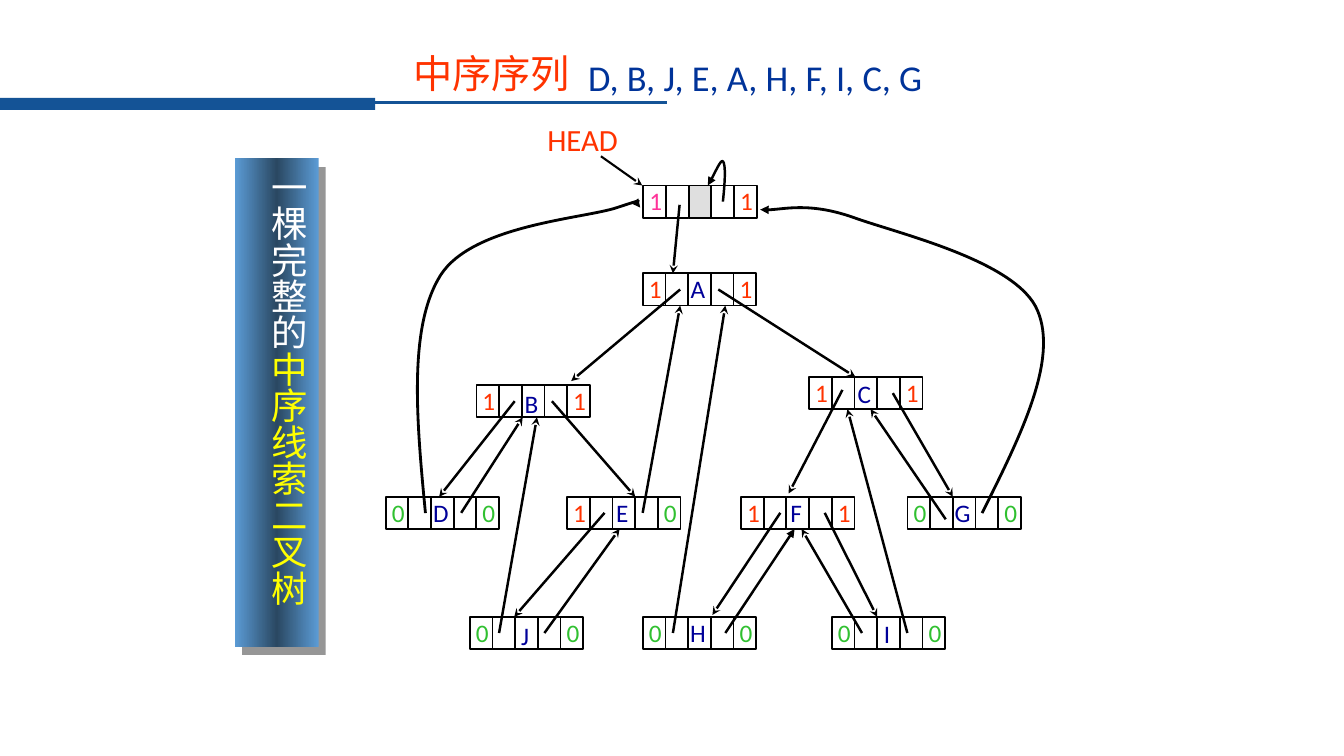
"""Draw an inorder threaded binary tree with its head node and threads."""
from dataclasses import dataclass
from typing import Any

import lxml.etree
import pptx
import pptx.dml.color
import pptx.enum.shapes
import pptx.enum.text
import pptx.oxml.ns
import pptx.util

COLUMN, ROW = 0.075, 0.08
CELL_COLUMNS, CELL_ROWS = 3, 4
COLOURS = {
    "rule": "145396", "panel": "5B9BD5", "panel_dark": "2A4862", "shadow": "969696",
    "white": "FFFFFF", "yellow": "FFFF00", "sequence": "003399", "red": "FF3300",
    "letter": "000099", "green": "30C030", "pink": "FF3399", "grey": "C0C0C0", "black": "000000",
}
TAG_COLOURS = {"0": "green", "1": "red"}
Point = tuple[float, float]


@dataclass(frozen=True)
class Node:
    column: float
    row: float
    label: str
    tags: str
    label_rise: float = 0.6
    left_colour: str = ""


@dataclass(frozen=True)
class Link:
    source: str
    source_cell: float
    target: str
    target_cell: float
    drop: float = 0
    rise: float = 0
    arrow: str = "stealth"


@dataclass(frozen=True)
class Caption:
    box: tuple[float, float, float, float]
    runs: tuple[tuple[str, str], ...]
    size: int
    font: str = "Calibri"
    shadowed: bool = False
    vertical: bool = False


@dataclass(frozen=True)
class Curve:
    points: tuple[Point, ...]
    width: float


NODES = {
    "HEAD": Node(85.07, 23, "", "11", left_colour="pink"),
    "A": Node(85, 33.9, "A", "11"),
    "B": Node(63, 47.75, "B", "11", 0.25),
    "C": Node(107, 46.75, "C", "11", 0.5),
    "D": Node(51, 61.6, "D", "00"),
    "E": Node(75, 61.6, "E", "10", 0.5),
    "F": Node(98, 61.6, "F", "11"),
    "G": Node(120, 61.6, "G", "00"),
    "J": Node(62.13, 76.5, "J", "00", 0.25),
    "H": Node(85, 76.5, "H", "00"),
    "I": Node(110, 76.5, "I", "00", 0.4),
}
LINKS = (
    Link("HEAD", 1.6, "A", 1.33, drop=0.4),
    Link("A", 1.65, "B", 4.18, rise=0.5),
    Link("A", 3.33, "C", 2.04),
    Link("B", 1.69, "D", 2.36),
    Link("B", 3.33, "E", 3),
    Link("C", 1.47, "F", 2.1, drop=-0.4, rise=0.4),
    Link("C", 3.69, "G", 2),
    Link("E", 1.65, "J", 1.96),
    Link("F", 1.73, "H", 3.07, rise=0.25),
    Link("F", 3.69, "I", 2),
    Link("D", 3.33, "B", 2.04),
    Link("J", 1.29, "B", 2.67),
    Link("J", 3.29, "E", 2.31),
    Link("E", 3.33, "A", 1.65),
    Link("H", 1.33, "A", 3.64),
    Link("H", 3.64, "F", 2.36, arrow="triangle"),
    Link("I", 1.33, "F", 2.67),
    Link("I", 3.33, "C", 1.69),
    Link("G", 1.69, "C", 2.71, drop=0.8),
)
CAPTIONS = (
    Caption((32.93, 19.75, 8.13, 58.75), (("一棵完整的", "white"), ("中序线索二叉树", "yellow")),
            26, shadowed=True, vertical=True),
    Caption((76.47, 6.25, 64, 6.63), (("D, B, J, E, A, H, F, I, C, G", "sequence"),), 26),
    Caption((71.07, 14.38, 16.8, 5.88), (("HEAD", "red"),), 22),
    Caption((53.33, 5.5, 28.93, 7.13), (("中序序列", "red"),), 28, "Noto Sans CJK SC", True),
)
CURVES = (
    Curve(((56.27, 63.63), (55.07, 52), (54, 40.5), (58.27, 34.13), (62.53, 27.88), (77.2, 27.13),
           (81.6, 25.75), (86, 24.38), (84.27, 25.75), (84.67, 25.75)), 2),
    Curve(((129.87, 63.63), (134.93, 54.13), (140, 44.63), (137.2, 38.5), (134.53, 32.5),
           (119.47, 29.13), (113.33, 27.13), (107.2, 25), (102.4, 26.25), (100.53, 26)), 2),
    Curve(((95.6, 25), (95.87, 22.63), (96, 20.38), (95.6, 20), (95.33, 19.75), (94, 22.5),
           (93.6, 23)), 1.75),
)


def across(columns: float) -> int:
    return pptx.util.Inches(columns * COLUMN)


def down(rows: float) -> int:
    return pptx.util.Inches(rows * ROW)


def frame_of(column: float, row: float, columns: float, rows: float) -> tuple[int, int, int, int]:
    return across(column), down(row), across(columns), down(rows)


def colour(name: str) -> Any:
    return pptx.dml.color.RGBColor.from_string(COLOURS[name])


def add_xml(parent: Any, tag: str, **attributes: str) -> Any:
    return lxml.etree.SubElement(parent, pptx.oxml.ns.qn(tag), attributes)


def add_shadow(effects: Any, name: str, distance: float, angle: int) -> None:
    shadow = add_xml(effects, "a:outerShdw", blurRad="0", dist=str(pptx.util.Pt(distance)),
                     dir=str(angle * 60000), algn="tl", rotWithShape="0")
    add_xml(shadow, "a:srgbClr", val=COLOURS[name])


def apply(target: Any, values: dict[str, Any]) -> None:
    for name, value in values.items():
        setattr(target, name, value)


def style_line(shape: Any, name: str, width: float, arrow: str = "") -> None:
    shape.line.color.rgb = colour(name)
    shape.line.width = pptx.util.Pt(width)
    if arrow:
        add_xml(shape.line._get_or_add_ln(), "a:tailEnd", type=arrow)


def add_rectangle(slide: Any, box: tuple[float, float, float, float], fill: str = "") -> Any:
    shape = slide.shapes.add_shape(pptx.enum.shapes.MSO_SHAPE.RECTANGLE, *frame_of(*box))
    shape.shadow.inherit = False
    shape.line.fill.background()
    if fill:
        shape.fill.solid()
        shape.fill.fore_color.rgb = colour(fill)
    else:
        shape.fill.background()
    return shape


def add_line(slide: Any, start: Point, end: Point, name: str, width: float, arrow: str = "") -> None:
    line = slide.shapes.add_connector(pptx.enum.shapes.MSO_CONNECTOR.STRAIGHT, across(start[0]),
                                      down(start[1]), across(end[0]), down(end[1]))
    style_line(line, name, width, arrow)
    add_xml(line.element.spPr, "a:effectLst")


def add_curve(slide: Any, curve: Curve) -> None:
    points = [(across(x), down(y)) for x, y in curve.points]
    builder = slide.shapes.build_freeform(*points[0])
    builder.add_line_segments(points[1:], close=False)
    shape = builder.convert_to_shape()
    shape.shadow.inherit = False
    shape.fill.background()
    style_line(shape, "black", curve.width, "triangle")
    outline = next(shape.element.iter(pptx.oxml.ns.qn("a:path")))
    segments = list(outline)[1:]
    for first in range(0, len(segments), 3):
        bezier = add_xml(outline, "a:cubicBezTo")
        for segment in segments[first:first + 3]:
            bezier.append(segment[0])
            outline.remove(segment)


def add_caption(slide: Any, caption: Caption, centred: bool = False) -> None:
    shape = slide.shapes.add_textbox(*frame_of(*caption.box))
    frame = shape.text_frame
    frame.word_wrap = not centred
    paragraph = frame.paragraphs[0]
    if centred:
        apply(frame, {"margin_left": 0, "margin_right": 0})
        paragraph.alignment = pptx.enum.text.PP_ALIGN.CENTER
    if caption.vertical:
        next(shape.element.iter(pptx.oxml.ns.qn("a:bodyPr"))).set("vert", "eaVert")
        paragraph.line_spacing = 0.9
    for text, name in caption.runs:
        run = paragraph.add_run()
        run.text = text
        apply(run.font, {"size": pptx.util.Pt(caption.size), "name": caption.font})
        run.font.color.rgb = colour(name)
        properties = run._r.get_or_add_rPr()
        add_xml(properties, "a:ea", typeface="Noto Sans CJK SC")
        if caption.shadowed:
            effects = add_xml(properties, "a:effectLst")
            add_shadow(effects, "black", 2, 45)
            properties.find(pptx.oxml.ns.qn("a:solidFill")).addnext(effects)


def add_node(slide: Any, node: Node) -> None:
    left_tag, right_tag = node.tags
    texts = {
        0: (left_tag, node.left_colour or TAG_COLOURS[left_tag], 0.15, 0.6),
        2: (node.label, "letter", -0.2, node.label_rise),
        4: (right_tag, TAG_COLOURS[right_tag], 0.15, 0.6),
    }
    for cell in range(5):
        column = node.column + cell * CELL_COLUMNS
        grey = cell == 2 and not node.label
        shape = add_rectangle(slide, (column, node.row, CELL_COLUMNS, CELL_ROWS), "grey" if grey else "")
        style_line(shape, "black", 1.25)
        if grey:
            add_xml(next(shape.element.iter(pptx.oxml.ns.qn("a:srgbClr"))), "a:alpha", val="50000")
        text, name, shift, rise = texts.get(cell, ("", "", 0, 0))
        if text:
            box = (column + shift, node.row - rise, CELL_COLUMNS, 5)
            add_caption(slide, Caption(box, ((text, name),), 18), centred=True)


def add_link(slide: Any, link: Link) -> None:
    source, target = NODES[link.source], NODES[link.target]
    side = CELL_ROWS if target.row < source.row else 0
    start = (source.column + link.source_cell * CELL_COLUMNS, source.row + CELL_ROWS / 2 + link.drop)
    end = (target.column + link.target_cell * CELL_COLUMNS, target.row + side - link.rise)
    add_line(slide, start, end, "black", 1.75, link.arrow)


def add_panel(slide: Any) -> None:
    panel = add_rectangle(slide, (31.07, 19.63, 11.07, 60.63), "panel")
    properties = panel.element.spPr
    gradient = add_xml(properties, "a:gradFill", rotWithShape="1")
    stops = add_xml(gradient, "a:gsLst")
    for position, name in ((0, "panel"), (50, "panel_dark"), (100, "panel")):
        add_xml(add_xml(stops, "a:gs", pos=str(position * 1000)), "a:srgbClr", val=COLOURS[name])
    add_xml(gradient, "a:lin", ang="0", scaled="1")
    solid = properties.find(pptx.oxml.ns.qn("a:solidFill"))
    properties.replace(solid, gradient)
    add_shadow(properties.find(pptx.oxml.ns.qn("a:effectLst")), "shadow", 7.8, 50)


def main() -> None:
    presentation = pptx.Presentation()
    apply(presentation, {"slide_width": pptx.util.Inches(13.33), "slide_height": pptx.util.Inches(7.5)})
    slide = presentation.slides.add_slide(presentation.slide_layouts[6])
    add_rectangle(slide, (0, 12.13, 49.6, 1.5), "rule")
    add_line(slide, (49.07, 12.75), (88.27, 12.75), "rule", 2.25)
    add_panel(slide)
    for node in NODES.values():
        add_node(slide, node)
    for link in LINKS:
        add_link(slide, link)
    add_line(slide, (79.47, 19.38), (84.93, 23), "black", 1.5, "stealth")
    for curve in CURVES:
        add_curve(slide, curve)
    for caption in CAPTIONS:
        add_caption(slide, caption)
    presentation.save("out.pptx")


if __name__ == "__main__":
    main()
